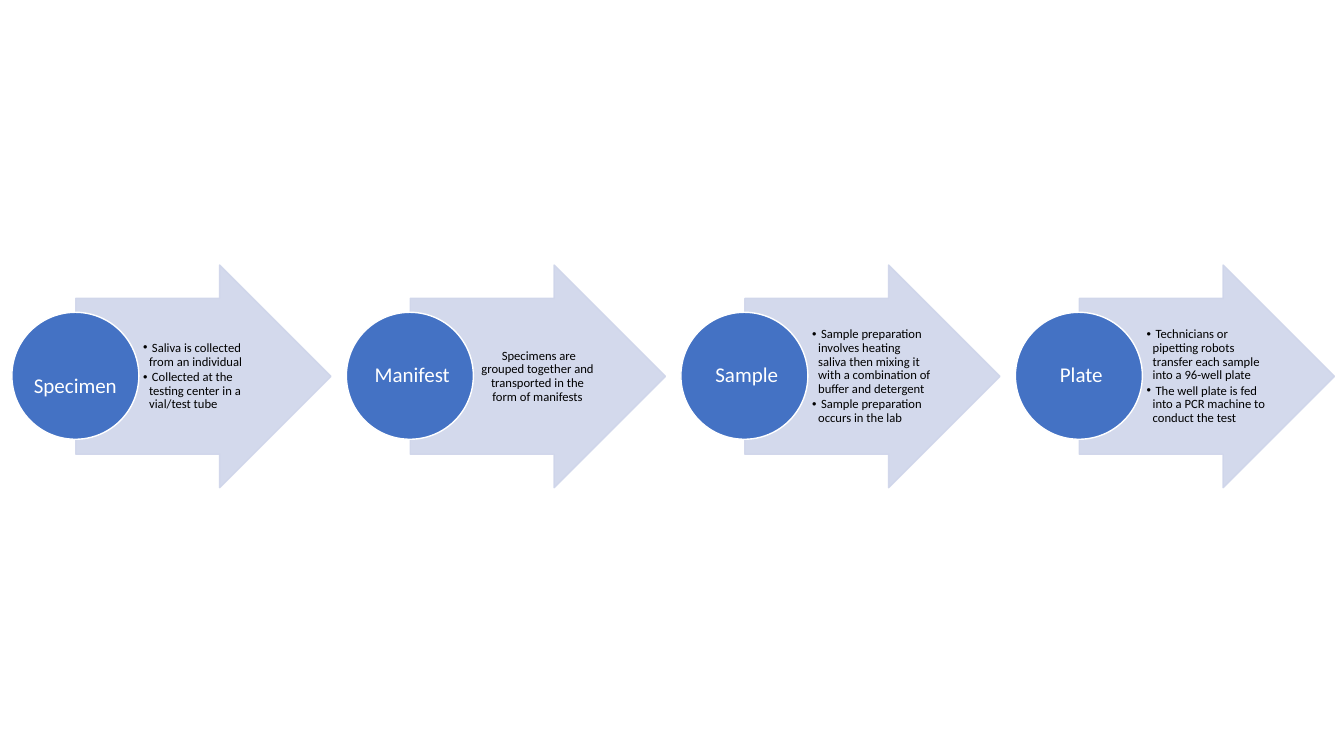
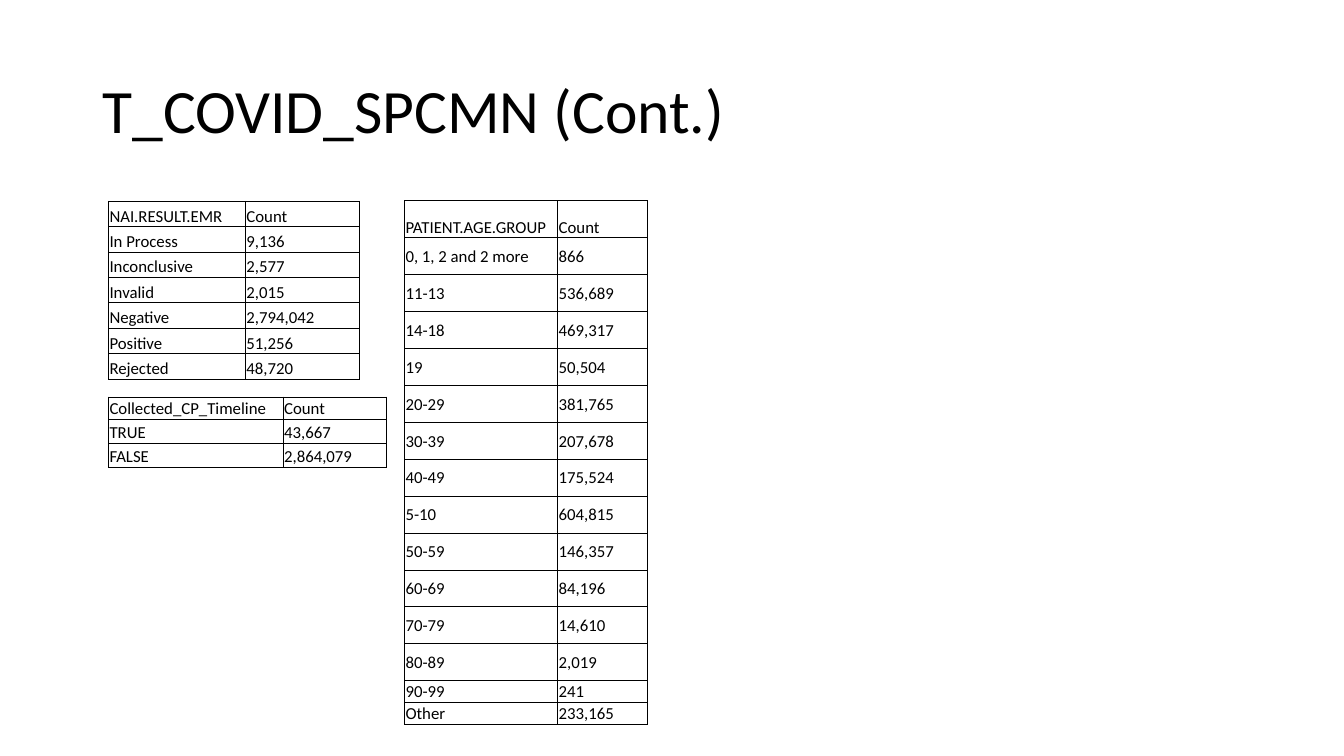
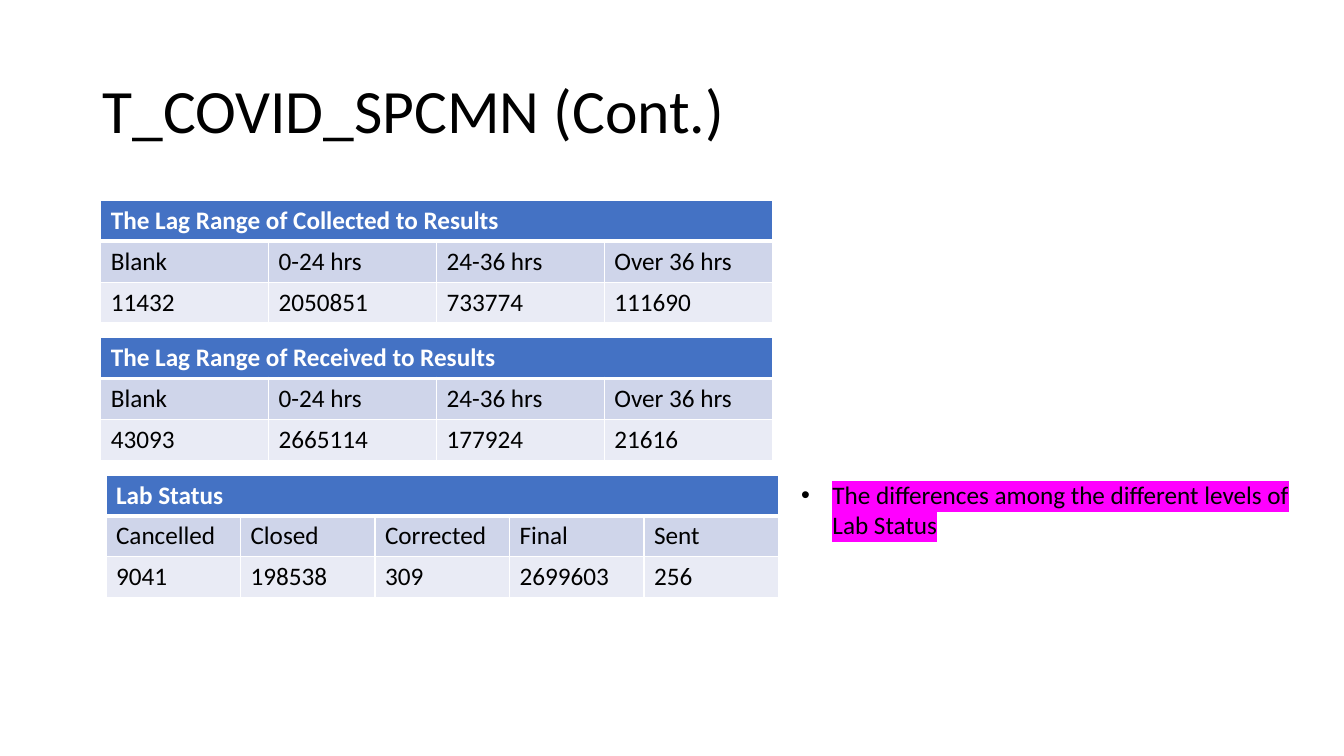
"""Build three slides on the path of a specimen and its result counts."""
import lxml.etree
import pptx
import pptx.dml.color
import pptx.enum.shapes
import pptx.enum.text
import pptx.oxml.ns
import pptx.util

Cm = pptx.util.Cm
Pt = pptx.util.Pt
RGB = pptx.dml.color.RGBColor
qn = pptx.oxml.ns.qn
add = lxml.etree.SubElement
ALIGN = pptx.enum.text.PP_ALIGN
ANCHOR = pptx.enum.text.MSO_ANCHOR
SHAPE = pptx.enum.shapes.MSO_SHAPE

BLACK = RGB(0x00, 0x00, 0x00)
WHITE = RGB(0xFF, 0xFF, 0xFF)
BLUE = RGB(0x44, 0x72, 0xC4)
PALE = RGB(0xCF, 0xD5, 0xEA)
LIGHT = RGB(0xE9, 0xEB, 0xF5)
PINK = RGB(0xFF, 0x00, 0xFF)
FONT = "Calibri"
TITLE = "T_COVID_SPCMN (Cont.)"


def write(frame, text, size, color=BLACK, bold=False, align=ALIGN.LEFT,
          space=1.0, after=0, hang=0):
    """Fill a text frame and format its runs; hang adds bullets."""
    frame.word_wrap = True
    frame.text = text
    for para in frame.paragraphs:
        para.alignment = align
        para.line_spacing = space
        para.space_after = Pt(after)
        if hang:
            props = para._p.get_or_add_pPr()
            props.set("marL", str(Cm(hang)))
            props.set("indent", str(-Cm(hang)))
            add(props, qn("a:buFont"), typeface="Arial")
            add(props, qn("a:buChar"), char="•")
        for run in para.runs:
            run.font.name = FONT
            run.font.size = Pt(size)
            run.font.bold = bold
            run.font.color.rgb = color


def grid(slide, left, top, cols, rows, data, edge, width):
    """Add a plain table with ruled cells and return it."""
    table = slide.shapes.add_table(
        len(rows), len(cols), Cm(left), Cm(top),
        Cm(sum(cols)), Cm(sum(rows))).table
    table.first_row = table.horz_banding = False
    for col, size in zip(table.columns, cols):
        col.width = Cm(size)
    for row, size, texts in zip(table.rows, rows, data):
        row.height = Cm(size)
        for cell, text in zip(row.cells, texts):
            cell.text = text
            props = cell._tc.get_or_add_tcPr()
            for side in ("lnL", "lnR", "lnT", "lnB"):
                line = add(props, qn("a:" + side), w=str(Pt(width)))
                fill = add(line, qn("a:solidFill"))
                add(fill, qn("a:srgbClr"), val=str(edge))
    return table


deck = pptx.Presentation()
deck.slide_width = Cm(33.87)
deck.slide_height = Cm(19.05)
flow, tests, lags = [deck.slides.add_slide(deck.slide_layouts[6])
                     for _ in range(3)]

for slide in (tests, lags):
    box = slide.shapes.add_textbox(Cm(2.33), Cm(1.01), Cm(29.21), Cm(3.68))
    box.text_frame.vertical_anchor = ANCHOR.MIDDLE
    write(box.text_frame, TITLE, 44, space=0.9)

steps = [
    ("Specimen", [" Saliva is collected from an individual",
                  " Collected at the testing center in a vial/test tube"]),
    ("Manifest", [" Specimens are grouped together and transported "
                  "in the form of manifests"]),
    ("Sample", [" Sample preparation involves heating saliva then mixing it "
                "with a combination of buffer and detergent",
                " Sample preparation occurs in the lab"]),
    ("Plate", [" Technicians or pipetting robots transfer each sample "
               "into a 96-well plate",
               " The well plate is fed into a PCR machine "
               "to conduct the test"]),
]
for num, (name, notes) in enumerate(steps):
    left = 0.3 + 8.43 * num
    arrow = flow.shapes.add_shape(SHAPE.RIGHT_ARROW, Cm(left + 1.61), Cm(6.68),
                                  Cm(6.43), Cm(5.61))
    arrow.adjustments[0] = 0.7
    arrow.shadow.inherit = False
    arrow.fill.solid()
    arrow.fill.fore_color.rgb = PALE
    arrow.line.color.rgb = PALE
    arrow.line.width = Pt(1)
    for tint in arrow._element.spPr.iter(qn("a:srgbClr")):
        add(tint, qn("a:alpha"), val="90000")

    box = flow.shapes.add_textbox(Cm(left + 3.23), Cm(7.52), Cm(3.12), Cm(3.94))
    frame = box.text_frame
    frame.vertical_anchor = ANCHOR.MIDDLE
    frame.margin_left = Cm(0.08)
    frame.margin_right = frame.margin_top = frame.margin_bottom = Cm(0.03)
    many = len(notes) > 1
    write(frame, "\n".join(notes), 9, space=0.9, after=1.35 if many else 0,
          align=ALIGN.LEFT if many else ALIGN.CENTER,
          hang=0.15 if many else 0)

    disc = flow.shapes.add_shape(SHAPE.OVAL, Cm(left), Cm(7.87), Cm(3.2), Cm(3.2))
    disc.shadow.inherit = False
    disc.fill.solid()
    disc.fill.fore_color.rgb = BLUE
    disc.line.color.rgb = WHITE
    disc.line.width = Pt(1)
    frame = disc.text_frame
    frame.vertical_anchor = ANCHOR.MIDDLE
    frame.margin_left = frame.margin_right = Cm(0.03)
    frame.margin_top = frame.margin_bottom = Cm(0.03)
    write(frame, " " + name, 15, WHITE, align=ALIGN.CENTER, space=0.9)

counts = [
    (2.73, 5.07, [3.45, 2.88], [0.64] * 7, ANCHOR.BOTTOM, [
        ("NAI.RESULT.EMR", "Count"), ("In Process", "9,136"),
        ("Inconclusive", "2,577"), ("Invalid", "2,015"),
        ("Negative", "2,794,042"), ("Positive", "51,256"),
        ("Rejected", "48,720")]),
    (2.73, 10, [4.4, 2.6], [0.56, 0.61, 0.61], ANCHOR.BOTTOM, [
        ("Collected_CP_Timeline", "Count"), ("TRUE", "43,667"),
        ("FALSE", "2,864,079")]),
    (10.19, 5.06, [3.86, 2.27], [0.93] * 13 + [0.55] * 2, ANCHOR.MIDDLE, [
        ("PATIENT.AGE.GROUP", "Count"), ("0, 1, 2 and 2 more", "866"),
        ("11-13", "536,689"), ("14-18", "469,317"), ("19", "50,504"),
        ("20-29", "381,765"), ("30-39", "207,678"), ("40-49", "175,524"),
        ("5-10", "604,815"), ("50-59", "146,357"), ("60-69", "84,196"),
        ("70-79", "14,610"), ("80-89", "2,019"), ("90-99", "241"),
        ("Other", "233,165")]),
]
for left, top, cols, rows, anchor, data in counts:
    table = grid(tests, left, top, cols, rows, data, BLACK, 0.5)
    for num, row in enumerate(table.rows):
        for cell in row.cells:
            cell.margin_left = cell.margin_right = cell.margin_top = Cm(0.03)
            cell.margin_bottom = 0
            cell.vertical_anchor = anchor if num else ANCHOR.BOTTOM
            cell.fill.solid()
            cell.fill.fore_color.rgb = WHITE
            write(cell.text_frame, cell.text, 12)

hours = ["Blank", "0-24 hrs", "24-36 hrs", "Over 36 hrs"]
spans = [
    (2.54, 4.23, "The Lag Range of Collected to Results", hours,
     ["11432", "2050851", "733774", "111690"]),
    (2.54, 4.23, "The Lag Range of Received to Results", hours,
     ["43093", "2665114", "177924", "21616"]),
    (2.67, 3.39, "Lab Status",
     ["Cancelled", "Closed", "Corrected", "Final", "Sent"],
     ["9041", "198538", "309", "2699603", "256"]),
]
looks = [(BLUE, WHITE, True), (PALE, BLACK, False), (LIGHT, BLACK, False)]
for num, (left, wide, head, names, values) in enumerate(spans):
    size = len(names)
    heads = [head] + [""] * (size - 1)
    table = grid(lags, left, 5.05 + 3.46 * num, [wide] * size, [1.03] * 3,
                 [heads, names, values], WHITE, 1)
    table.cell(0, 0).merge(table.cell(0, size - 1))
    for row, (fill, ink, bold) in zip(table.rows, looks):
        for cell in row.cells:
            cell.fill.solid()
            cell.fill.fore_color.rgb = fill
            write(cell.text_frame, cell.text, 18, ink, bold)
    for col in range(size):
        for row, side in ((0, "a:lnB"), (1, "a:lnT")):
            props = table.cell(row, col)._tc.get_or_add_tcPr()
            props.find(qn(side)).set("w", str(Pt(3)))

box = lags.shapes.add_textbox(Cm(19.94), Cm(11.96), Cm(13), Cm(1.8))
write(box.text_frame, "The differences among the different levels of Lab Status",
      18, hang=0.79)
for run in box.text_frame.paragraphs[0].runs:
    props = run._r.get_or_add_rPr()
    mark = lxml.etree.Element(qn("a:highlight"))
    add(mark, qn("a:srgbClr"), val=str(PINK))
    props.find(qn("a:solidFill")).addnext(mark)

deck.save("out.pptx")
